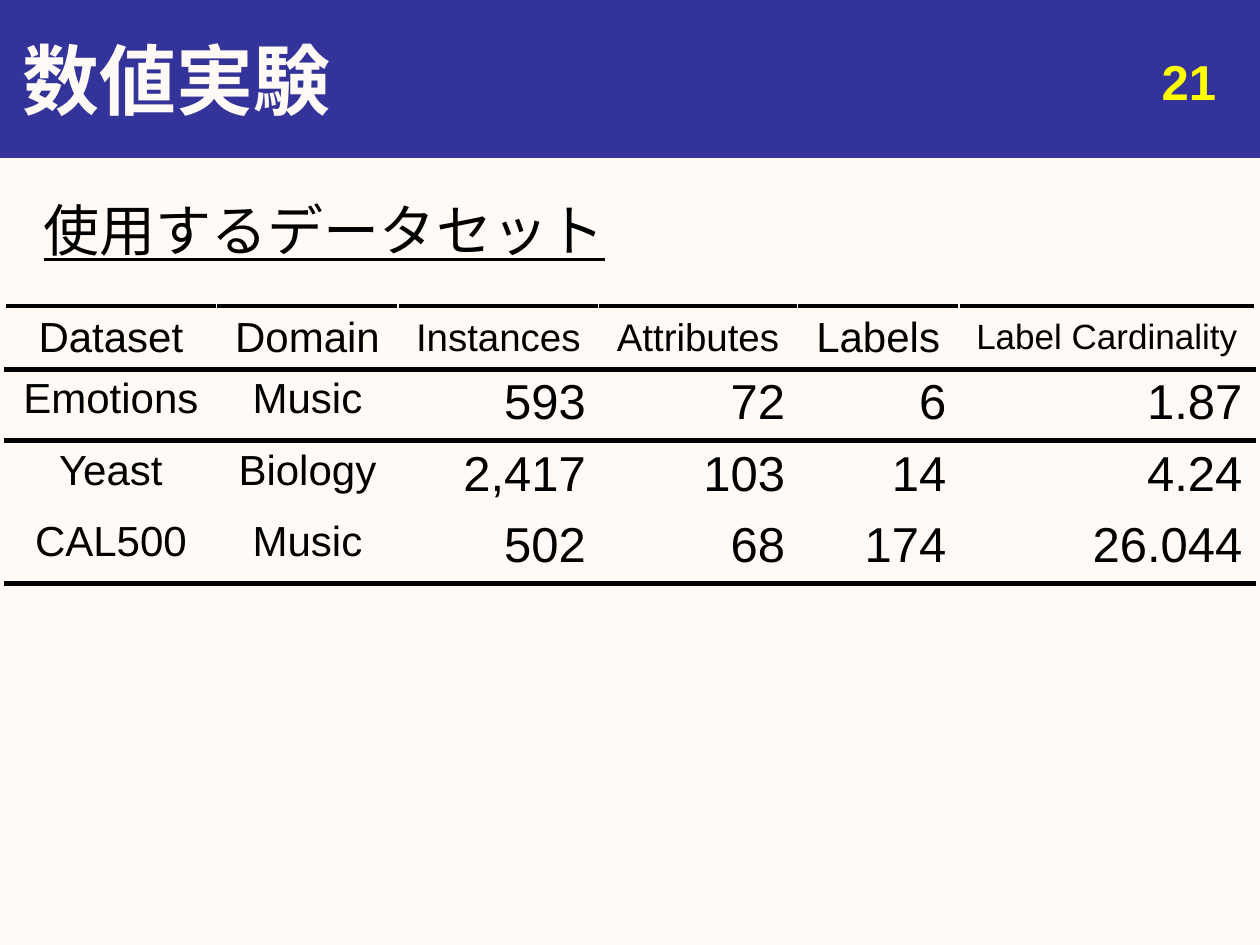
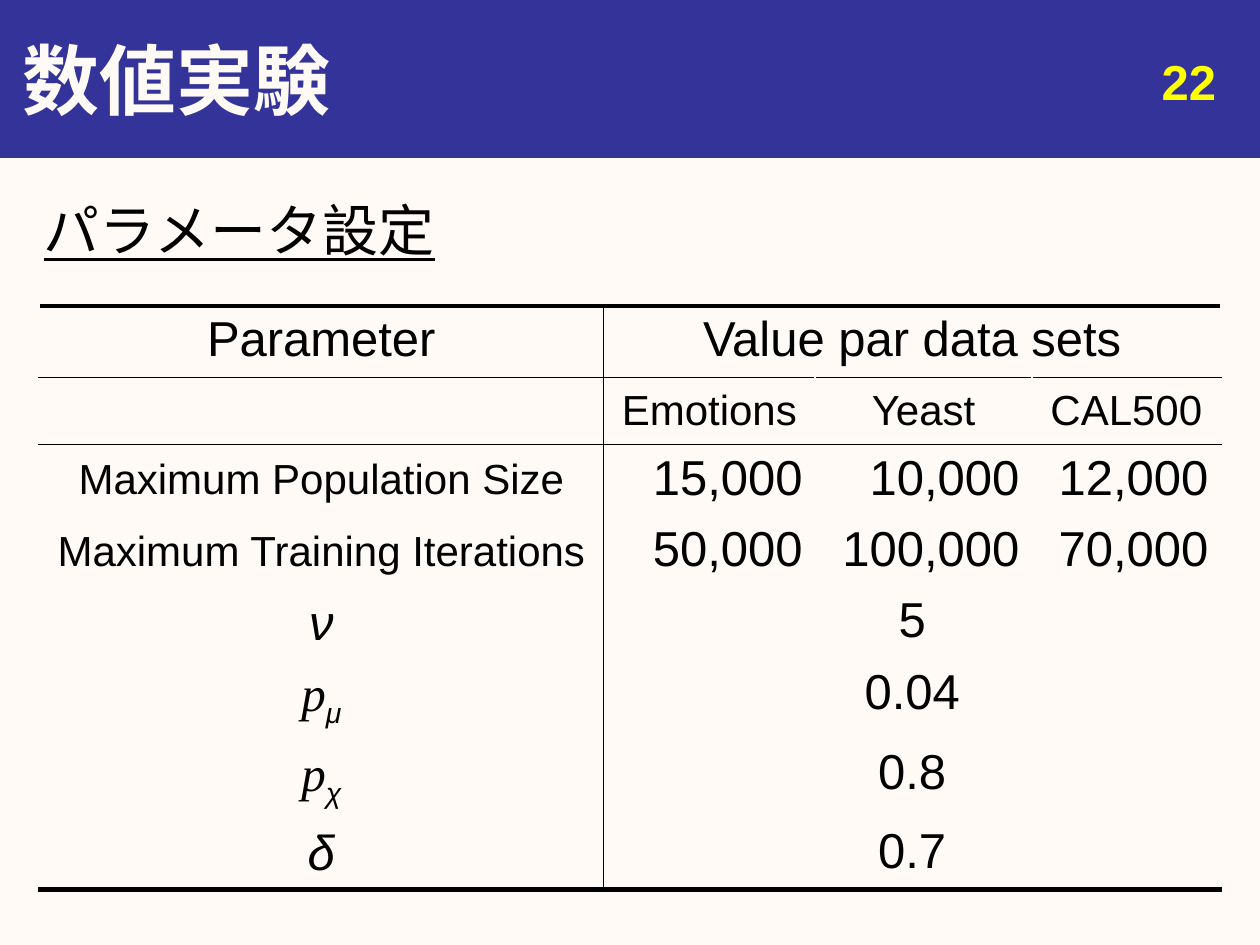
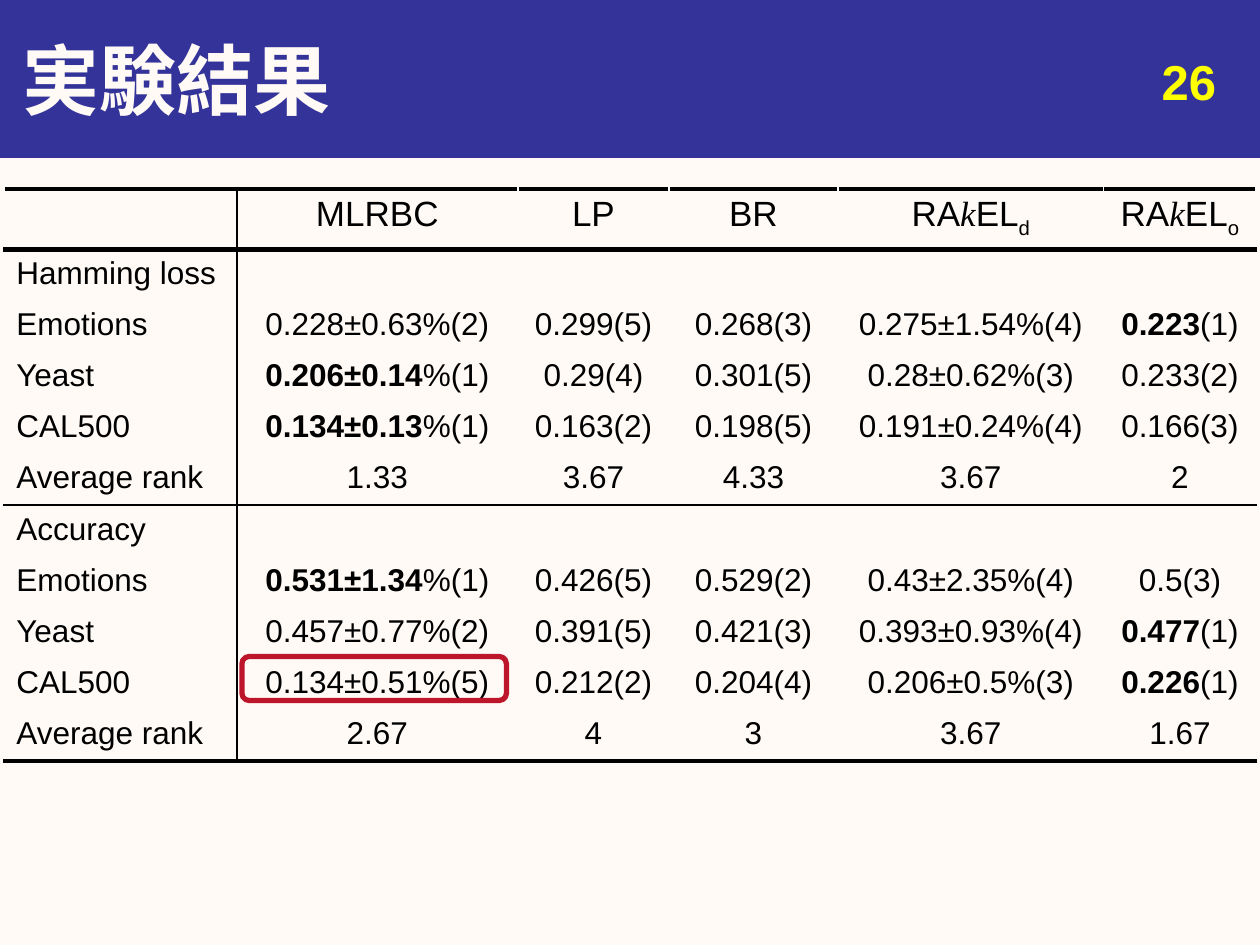
from dataclasses import dataclass
from lxml.etree import SubElement
from pptx import Presentation
from pptx.dml.color import RGBColor
from pptx.enum.shapes import MSO_SHAPE
from pptx.enum.text import MSO_ANCHOR, PP_ALIGN
from pptx.oxml.ns import qn
from pptx.util import Inches, Pt


@dataclass(frozen=True)
class Theme:
    paper: str = "FFFAF5"
    band: str = "333399"
    ink: str = "000000"
    number: str = "FFFF00"
    highlight: str = "BD1529"
    font: str = "Arial"
    math_font: str = "Times New Roman"
    title_size: int = 44
    subtitle_size: int = 32
    large: int = 28
    medium: int = 24
    compact: int = 22
    small: int = 20
    tiny: int = 18
    hairline: float = 0.75
    thin: int = 1
    thick: int = 3
    plain_table: str = "{2D5ABB26-0587-4C30-8999-92F81FD0307C}"


theme = Theme()
LEFT, CENTER, RIGHT, JUSTIFY = PP_ALIGN.LEFT, PP_ALIGN.CENTER, PP_ALIGN.RIGHT, PP_ALIGN.JUSTIFY
TOP, MIDDLE = MSO_ANCHOR.TOP, MSO_ANCHOR.MIDDLE
RUN_STYLES = {
    "plain": {},
    "bold": {"bold": True},
    "italic": {"italic": True},
    "math": {"italic": True, "name": theme.math_font},
    "subscript": {},
    "italic subscript": {"italic": True},
}

presentation = Presentation()
presentation.slide_width, presentation.slide_height = Inches(10), Inches(7.5)
unit = presentation.slide_width / 100
master_fill = presentation.slide_master.background.fill
master_fill.solid()
master_fill.fore_color.rgb = RGBColor.from_string(theme.paper)


def units(*lengths):
    return [round(length * unit) for length in lengths]


def write(text_frame, content, size, alignment, color=theme.ink, **formats):
    paragraph = text_frame.paragraphs[0]
    paragraph.alignment = alignment
    runs = [(content, "plain")] if isinstance(content, str) else content
    for text, style in runs:
        run = paragraph.add_run()
        run.text = text
        values = {"name": theme.font, "size": Pt(size), **formats, **RUN_STYLES[style]}
        for attribute, value in values.items():
            setattr(run.font, attribute, value)
        run.font.color.rgb = RGBColor.from_string(color)
        if style.endswith("subscript"):
            run._r.get_or_add_rPr().set("baseline", "-25000")


rakel_d, rakel_o = [
    [("RA", "plain"), ("k", "math"), ("EL", "plain"), (variant, "subscript")] for variant in "do"
]
dataset_style = {
    "sizes": [theme.medium] * 2 + [theme.large] * 4,
    "alignments": [CENTER] * 2 + [RIGHT] * 4,
    "anchors": [TOP] * 6,
}
value_style = {
    "sizes": [theme.medium] + [theme.large] * 3,
    "alignments": [CENTER] + [RIGHT] * 3,
    "anchors": [MIDDLE] + [TOP] * 3,
}
shared_value_style = {
    "sizes": [theme.large] * 4,
    "alignments": [CENTER] * 4,
    "anchors": [MIDDLE] + [TOP] * 3,
}
result_style = {
    "sizes": [theme.tiny] * 6,
    "alignments": [LEFT] + [CENTER] * 5,
    "anchors": [TOP] * 6,
}

pages = [
    {
        "title": "数値実験",
        "number": "21",
        "subtitle": "使用するデータセット",
        "origin": (0.4, 24.3),
        "columns": (16.8, 14.4, 15.9, 15.8, 12.8, 23.5),
        "rules": {0: theme.thick, 1: theme.thick, 2: theme.thick, 4: theme.thick},
        "dividers": (),
        "row_height": 4.1,
        "rows": [
            (["Dataset", "Domain", "Instances", "Attributes", "Labels", "Label Cardinality"],
             {"sizes": [theme.medium] * 2 + [theme.compact] * 2 + [theme.medium, theme.small],
              "alignments": [CENTER] * 6, "anchors": [MIDDLE] * 6}),
            (["Emotions", "Music", "593", "72", "6", "1.87"], dataset_style),
            (["Yeast", "Biology", "2,417", "103", "14", "4.24"], dataset_style),
            (["CAL500", "Music", "502", "68", "174", "26.044"], dataset_style),
        ],
    },
    {
        "title": "数値実験",
        "number": "22",
        "subtitle": "パラメータ設定",
        "origin": (3.1, 24.3),
        "columns": (44.8, 16.8, 17.2, 15),
        "rules": {0: theme.thick, 1: theme.thin, 2: theme.thin, 8: theme.thick},
        "dividers": (1,),
        "row_height": 5.3,
        "rows": [
            (["Parameter", "Value par data sets"], {**shared_value_style, "anchors": [TOP] * 4}),
            (["", "Emotions", "Yeast", "CAL500"],
             {"sizes": [theme.medium] * 4, "alignments": [CENTER] * 4, "anchors": [MIDDLE] * 4}),
            (["Maximum Population Size", "15,000", "10,000", "12,000"], value_style),
            (["Maximum Training Iterations", "50,000", "100,000", "70,000"], value_style),
            ([[("ν", "italic")], "5"], shared_value_style),
            ([[("p", "math"), ("μ", "italic subscript")], "0.04"], shared_value_style),
            ([[("p", "math"), ("χ", "italic subscript")], "0.8"], shared_value_style),
            ([[("δ", "italic")], "0.7"], shared_value_style),
        ],
    },
    {
        "title": "実験結果",
        "number": "26",
        "origin": (0.3, 15),
        "columns": (18.5, 22.3, 12, 13.4, 21.1, 12.1),
        "rules": {0: theme.thick, 1: theme.thick, 6: theme.thin, 11: theme.thick},
        "dividers": (1,),
        "row_height": 4.06,
        "highlight": (19.2, 52.1, 21, 3.5),
        "rows": [
            (["", "MLRBC", "LP", "BR", rakel_d, rakel_o],
             {**result_style, "sizes": [theme.small] * 6}),
            (["Hamming loss", "", "", "", "", ""], result_style),
            (["Emotions", "0.228±0.63%(2)", "0.299(5)", "0.268(3)", "0.275±1.54%(4)",
              [("0.223", "bold"), ("(1)", "plain")]], result_style),
            (["Yeast", [("0.206±0.14", "bold"), ("%(1)", "plain")], "0.29(4)", "0.301(5)",
              "0.28±0.62%(3)", "0.233(2)"], result_style),
            (["CAL500", [("0.134±0.13", "bold"), ("%(1)", "plain")], "0.163(2)", "0.198(5)",
              "0.191±0.24%(4)", "0.166(3)"], result_style),
            (["Average rank", "1.33", "3.67", "4.33", "3.67", "2"], result_style),
            (["Accuracy", "", "", "", "", ""], result_style),
            (["Emotions", [("0.531±1.34", "bold"), ("%(1)", "plain")], "0.426(5)", "0.529(2)",
              "0.43±2.35%(4)", "0.5(3)"], result_style),
            (["Yeast", "0.457±0.77%(2)", "0.391(5)", "0.421(3)", "0.393±0.93%(4)",
              [("0.477", "bold"), ("(1)", "plain")]], result_style),
            (["CAL500", "0.134±0.51%(5)", "0.212(2)", "0.204(4)", "0.206±0.5%(3)",
              [("0.226", "bold"), ("(1)", "plain")]], result_style),
            (["Average rank", "2.67", "4", "3", "3.67", "1.67"], result_style),
        ],
    },
]

for page in pages:
    slide = presentation.slides.add_slide(presentation.slide_layouts[6])
    band = slide.shapes.add_shape(MSO_SHAPE.RECTANGLE, *units(0, 0, 100, 12.5))
    band.shadow.inherit = False
    band.fill.solid()
    band.fill.fore_color.rgb = band.line.color.rgb = RGBColor.from_string(theme.band)
    band.line.width = Pt(theme.hairline)

    labels = [
        (page["title"], (0.8, 0, 99.2, 12.5), MIDDLE,
         {"size": theme.title_size, "alignment": LEFT, "color": theme.paper, "bold": True}),
        (page["number"], (74.2, 3.6, 23.3, 5.2), TOP,
         {"size": theme.large, "alignment": RIGHT, "color": theme.number, "bold": True}),
    ]
    if "subtitle" in page:
        labels.append((page["subtitle"], (2.5, 15, 95, 56.7), TOP,
                       {"size": theme.subtitle_size, "alignment": JUSTIFY, "underline": True}))
    for text, place, anchor, formats in labels:
        label = slide.shapes.add_textbox(*units(*place))
        label.text_frame.word_wrap = True
        label.text_frame.vertical_anchor = anchor
        write(label.text_frame, text, **formats)

    column_count, row_count = len(page["columns"]), len(page["rows"])
    table_size = sum(page["columns"]), row_count * page["row_height"]
    frame = slide.shapes.add_table(row_count, column_count, *units(*page["origin"], *table_size))
    table = frame.table
    table.first_row = table.horz_banding = False
    table._tbl.tblPr.find(qn("a:tableStyleId")).text = theme.plain_table
    for column, width in zip(table.columns, units(*page["columns"])):
        column.width = width
    for row_index, (contents, style) in enumerate(page["rows"]):
        table.rows[row_index].height = units(page["row_height"])[0]
        for column_index in range(column_count):
            cell = table.cell(row_index, column_index)
            cell.vertical_anchor = style["anchors"][column_index]
            properties = cell._tc.get_or_add_tcPr()
            edges = {
                "a:lnL": (theme.thin, column_index in page["dividers"]),
                "a:lnR": (theme.thin, column_index + 1 in page["dividers"]),
                "a:lnT": (page["rules"].get(row_index), True),
                "a:lnB": (page["rules"].get(row_index + 1), True),
            }
            for tag, (weight, inked) in edges.items():
                edge = SubElement(properties, qn(tag), w=str(Pt(weight or 0)))
                if weight:
                    edge_fill = SubElement(edge, qn("a:solidFill"))
                    SubElement(edge_fill, qn("a:srgbClr"), val=theme.ink if inked else theme.paper)
                else:
                    SubElement(edge, qn("a:noFill"))
            cell.fill.background()
            if column_index < len(contents) and contents[column_index]:
                write(cell.text_frame, contents[column_index],
                      style["sizes"][column_index], style["alignments"][column_index])
        if len(contents) < column_count:
            last_cell = table.cell(row_index, column_count - 1)
            table.cell(row_index, len(contents) - 1).merge(last_cell)

    if "highlight" in page:
        highlight = slide.shapes.add_shape(MSO_SHAPE.ROUNDED_RECTANGLE, *units(*page["highlight"]))
        highlight.shadow.inherit = False
        highlight.fill.background()
        highlight.line.color.rgb = RGBColor.from_string(theme.highlight)
        highlight.line.width = Pt(theme.thick)

presentation.save("out.pptx")
